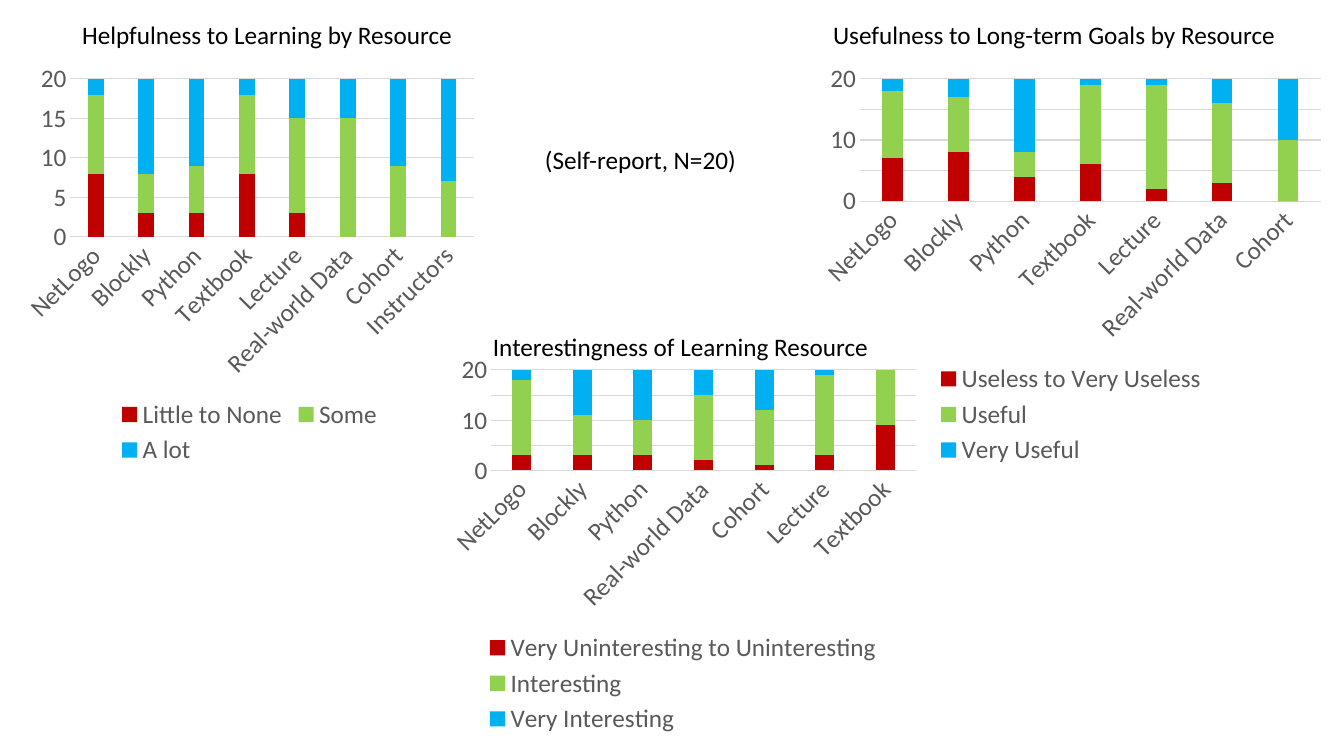
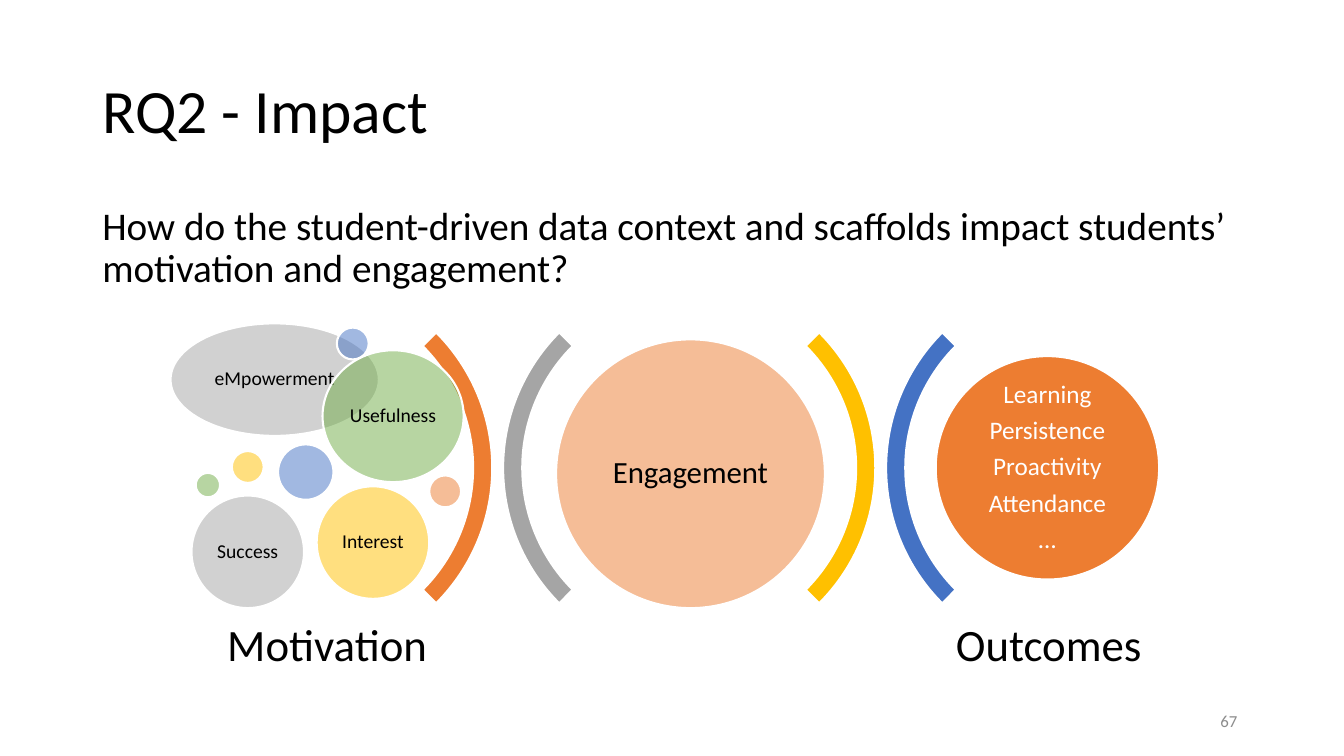
import dataclasses

import lxml.etree
import pptx
import pptx.chart.data
import pptx.dml.color
import pptx.enum.chart
import pptx.enum.shapes
import pptx.enum.text
import pptx.oxml.ns
import pptx.util

ALIGN = pptx.enum.text.PP_ALIGN
ANCHOR = pptx.enum.text.MSO_ANCHOR
SHAPE = pptx.enum.shapes.MSO_SHAPE

# The slide is a grid of 160 columns and 90 rows of square cells.
COLUMNS, ROWS = 160, 90
CELL = pptx.util.Inches(13.333) / COLUMNS


@dataclasses.dataclass(frozen=True)
class Theme:
    font: str = "Calibri"
    ink: str = "000000"
    paper: str = "FFFFFF"
    axis_text: str = "595959"
    grid: str = "D9D9D9"
    page_number: str = "8C8C8C"
    orange: str = "ED7D31"
    gray: str = "A5A5A5"
    yellow: str = "FFC000"
    blue: str = "4472C4"
    green: str = "70AD47"
    ratings: tuple = ("C00000", "92D050", "00B0F0")
    title_size: int = 44
    caption_size: int = 32
    question_size: int = 28
    engagement_size: int = 22
    label_size: int = 18
    bubble_size: int = 14
    number_size: int = 12


THEME = Theme()


@dataclasses.dataclass(frozen=True)
class Box:
    """A rectangle measured in grid cells."""
    left: float
    top: float
    width: float
    height: float

    def inside(self, left, top, width, height):
        return Box(self.left + left, self.top + top, width, height)

    def lengths(self):
        cells = (self.left, self.top, self.width, self.height)
        return [pptx.util.Emu(round(cell * CELL)) for cell in cells]


def rgb(color):
    return pptx.dml.color.RGBColor.from_string(color)


def style_font(font, size, color):
    font.name = THEME.font
    font.size = pptx.util.Pt(size)
    font.color.rgb = rgb(color)


def write(frame, lines, size, color=THEME.ink, align=ALIGN.LEFT,
          anchor=ANCHOR.TOP, spacing=1.0, after=0, inset=None, wrap=True):
    frame.word_wrap = wrap
    frame.vertical_anchor = anchor
    if inset is not None:
        frame.margin_left = frame.margin_right = pptx.util.Inches(inset)
        frame.margin_top = frame.margin_bottom = pptx.util.Inches(inset)
    for index, line in enumerate(lines):
        para = frame.add_paragraph() if index else frame.paragraphs[0]
        para.alignment = align
        para.line_spacing = spacing
        para.space_before = pptx.util.Pt(0)
        para.space_after = pptx.util.Pt(after)
        span = para.add_run()
        span.text = line
        style_font(span.font, size, color)


def add_text(page, box, text, size, **options):
    frame = page.shapes.add_textbox(*box.lengths()).text_frame
    write(frame, [text], size, **options)


def add_figure(page, kind, box, color, opacity=100):
    """Add a filled shape with the white outline used in the diagram."""
    shape = page.shapes.add_shape(kind, *box.lengths())
    shape.shadow.inherit = False
    shape.fill.solid()
    shape.fill.fore_color.rgb = rgb(color)
    if opacity < 100:
        qn = pptx.oxml.ns.qn
        fill_color = shape.element.spPr.find(qn("a:solidFill"))[0]
        lxml.etree.SubElement(fill_color, qn("a:alpha"), val=str(opacity * 1000))
    shape.line.color.rgb = rgb(THEME.paper)
    shape.line.width = pptx.util.Pt(1.5)
    return shape


def add_circle(page, box, color, lines=(), size=THEME.bubble_size,
               text_color=THEME.ink, opacity=50, after=0):
    circle = add_figure(page, SHAPE.OVAL, box, color, opacity)
    if lines:
        write(circle.text_frame, lines, size, text_color, ALIGN.CENTER,
              ANCHOR.MIDDLE, 0.9, after, inset=0, wrap=False)


def style_axis(axis):
    axis.major_tick_mark = pptx.enum.chart.XL_TICK_MARK.NONE
    axis.minor_tick_mark = pptx.enum.chart.XL_TICK_MARK.NONE
    style_font(axis.tick_labels.font, THEME.label_size, THEME.axis_text)


def style_grid_line(line):
    line.color.rgb = rgb(THEME.grid)
    line.width = pptx.util.Pt(0.75)


def rating_panel(page, box, title_box, title, categories, ratings):
    """Add a stacked column chart and the title that belongs to it."""
    data = pptx.chart.data.CategoryChartData()
    data.categories = categories
    for name, values in ratings.items():
        data.add_series(name, values)
    chart = page.shapes.add_chart(
        pptx.enum.chart.XL_CHART_TYPE.COLUMN_STACKED, *box.lengths(), data).chart
    style_font(chart.font, THEME.label_size, THEME.ink)
    chart.has_title = False

    plot = chart.plots[0]
    plot.gap_width = 219
    plot.overlap = 100
    plot.vary_by_categories = False
    for series, color in zip(plot.series, THEME.ratings):
        series.format.fill.solid()
        series.format.fill.fore_color.rgb = rgb(color)

    style_axis(chart.category_axis)
    style_grid_line(chart.category_axis.format.line)
    style_axis(chart.value_axis)
    chart.value_axis.maximum_scale = 20
    chart.value_axis.format.line.fill.background()
    style_grid_line(chart.value_axis.major_gridlines.format.line)

    chart.has_legend = True
    chart.legend.position = pptx.enum.chart.XL_LEGEND_POSITION.BOTTOM
    chart.legend.include_in_layout = False
    style_font(chart.legend.font, THEME.label_size, THEME.axis_text)

    add_text(page, box.inside(*title_box), title, THEME.label_size)


def ratings_slide(deck):
    page = deck.slides.add_slide(deck.slide_layouts[6])
    rating_panel(
        page, Box(1.8, 6.6, 55.8, 49.4), (6.8, -4.9, 47, 4.8),
        "Helpfulness to Learning by Resource",
        ["NetLogo", "Blockly", "Python", "Textbook", "Lecture",
         "Real-world Data", "Cohort", "Instructors"],
        {"Little to None": [8, 3, 3, 8, 3, 0, 0, 0],
         "Some": [10, 5, 6, 10, 12, 15, 9, 7],
         "A lot": [2, 12, 11, 2, 5, 5, 11, 13]})
    rating_panel(
        page, Box(96.5, 6.6, 62, 49.4), (1.5, -4.9, 55.7, 4.8),
        "Usefulness to Long-term Goals by Resource",
        ["NetLogo", "Blockly", "Python", "Textbook", "Lecture",
         "Real-world Data", "Cohort"],
        {"Useless to Very Useless": [7, 8, 4, 6, 2, 3, 0],
         "Useful": [11, 9, 4, 13, 17, 13, 10],
         "Very Useful": [2, 3, 12, 1, 1, 4, 10]})
    rating_panel(
        page, Box(52.4, 41.3, 57.8, 46.7), (5.1, -2.5, 47.6, 4.8),
        "Interestingness of Learning Resource",
        ["NetLogo", "Blockly", "Python", "Real-world Data", "Cohort",
         "Lecture", "Textbook"],
        {"Very Uninteresting to Uninteresting": [3, 3, 3, 2, 1, 3, 9],
         "Interesting": [15, 8, 7, 13, 11, 16, 11],
         "Very Interesting": [2, 9, 10, 5, 8, 1, 0]})
    add_text(page, Box(63.7, 16.6, 29, 4.8), "(Self-report, N=20)",
             THEME.label_size)


def stage_dividers(page, box):
    """Add the arc pairs that separate the three stages."""
    size, gap = 45.6, 1.3
    for stage, colors in enumerate([(THEME.orange, THEME.gray),
                                    (THEME.yellow, THEME.blue)]):
        closing = stage * size
        opening = closing + size + gap
        for left, color, turn in zip((closing, opening), colors, (90, 270)):
            arc = add_figure(page, SHAPE.BLOCK_ARC,
                             box.inside(left, 0, size, size), color)
            arc.rotation = turn
            for index, value in enumerate((135, 189, 0.05)):
                arc.adjustments[index] = value


def motivation_bubbles(page, box):
    small, large = (3.8, 3.8), (13.4, 13.4)
    bubbles = [
        (0, 0, (24.8, 13.4), THEME.gray, ["eMpowerment"]),
        (7.3, 15.2, small, THEME.yellow, []),
        (19.8, 0.5, small, THEME.blue, []),
        (18.1, 3.2, (16.8, 15.7), THEME.green, ["Usefulness"]),
        (30.8, 18.1, small, THEME.orange, []),
        (2.5, 20.5, large, THEME.gray, ["Success"]),
        (17.4, 19.4, large, THEME.yellow, ["Interest"]),
        (12.8, 14.4, (6.6, 6.6), THEME.blue, []),
        (3, 17.8, (2.9, 2.9), THEME.green, []),
    ]
    for left, top, size, color, lines in bubbles:
        add_circle(page, box.inside(left, top, *size), color, lines)


def impact_diagram(page, box):
    stage_dividers(page, box)
    add_circle(page, box.inside(53.2, 7.5, 32, 32), THEME.orange,
               ["Engagement"], THEME.engagement_size)
    motivation_bubbles(page, box.inside(7.3, 5.6, 34.9, 33.9))
    add_circle(page, box.inside(98.4, 9.5, 26.6, 26.6), THEME.orange,
               ["Learning", "Persistence", "Proactivity", "Attendance", "…"],
               THEME.label_size, THEME.paper, opacity=100, after=6.3)
    for left, caption in ((8.6, "Motivation"), (94.5, "Outcomes")):
        add_text(page, box.inside(left, 39.6, 34.7, 9.1), caption,
                 THEME.caption_size, align=ALIGN.CENTER,
                 anchor=ANCHOR.MIDDLE, spacing=0.9, inset=0.13)


def impact_slide(deck):
    page = deck.slides.add_slide(deck.slide_layouts[5])
    title = page.shapes.title
    title.left, title.top, title.width, title.height = Box(11, 4.8, 138, 17.4).lengths()
    write(title.text_frame, ["RQ2 - Impact"], THEME.title_size,
          anchor=ANCHOR.MIDDLE, spacing=0.9)
    add_text(page, Box(11, 24, 138, 11),
             "How do the student-driven data context and scaffolds impact "
             "students’ motivation and engagement?",
             THEME.question_size, spacing=0.9)
    impact_diagram(page, Box(13, 32.9, 138.1, 48.7))
    add_text(page, Box(112.5, 83.4, 36, 4.8), "67", THEME.number_size,
             color=THEME.page_number, align=ALIGN.RIGHT, anchor=ANCHOR.MIDDLE)


def main():
    deck = pptx.Presentation()
    deck.slide_width = round(COLUMNS * CELL)
    deck.slide_height = round(ROWS * CELL)
    ratings_slide(deck)
    impact_slide(deck)
    deck.save("out.pptx")


if __name__ == "__main__":
    main()
